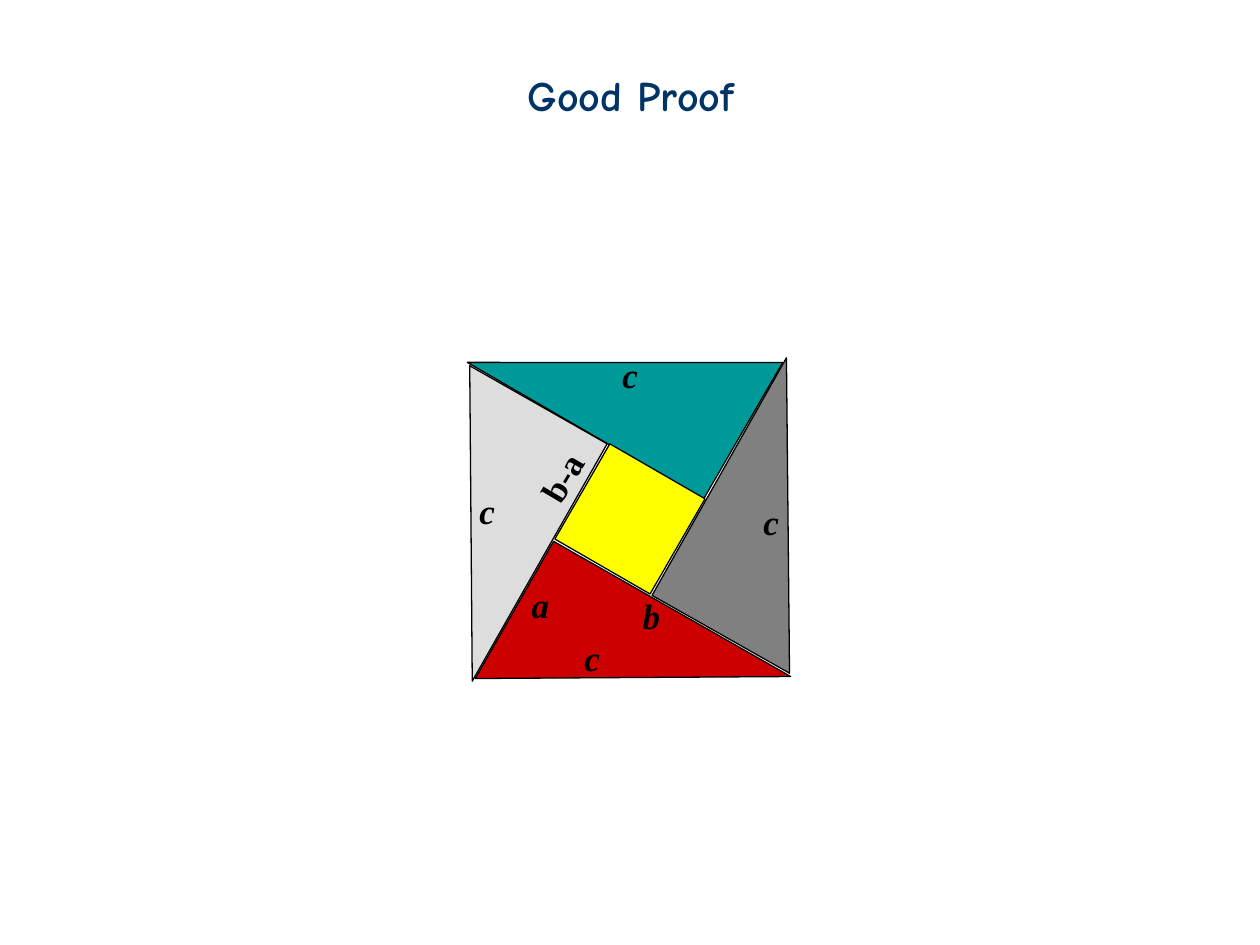
from pptx import Presentation
from pptx.dml.color import RGBColor
from pptx.enum.shapes import MSO_SHAPE
from pptx.enum.text import MSO_ANCHOR, MSO_AUTO_SIZE, PP_ALIGN
from pptx.util import Emu, Inches, Pt

EMU_PER_PX = 914400 / 126
SHORT_LEG, LONG_LEG = 158, 273
SQUARE_SIDE = 110
LABEL_HEIGHT = 55

# left, top, rotation, fill
TRIANGLES = [
    (709, 379, 29.5, "808080"),
    (554, 541, 119.7, "CC0000"),
    (546, 226, 300.1, "009999"),
    (392, 387, 209.6, "DDDDDD"),
]

# text, left, top, width
SIDE_LABELS = [
    ("c", 572, 630, 40),
    ("c", 751, 494, 40),
    ("c", 467, 483, 40),
    ("a", 519, 577, 43),
    ("b", 625, 588, 53),
    ("c", 610, 347, 40),
]


def px(length):
    return Emu(round(length * EMU_PER_PX))


def color(hex_text):
    return RGBColor.from_string(hex_text)


def write_text(box, text, font="Times New Roman", size=20, fill="000000",
               bold=True, italic=False, align=PP_ALIGN.CENTER):
    frame = box.text_frame
    frame.word_wrap = False
    frame.auto_size = MSO_AUTO_SIZE.SHAPE_TO_FIT_TEXT
    frame.vertical_anchor = MSO_ANCHOR.TOP
    para = frame.paragraphs[0]
    para.alignment = align
    span = para.add_run()
    span.text = text
    span.font.name = font
    span.font.size = Pt(size)
    span.font.bold = bold
    span.font.italic = italic
    span.font.color.rgb = color(fill)


def add_title(page, text, left, top, width, height):
    title = page.shapes.title
    title.left, title.top = px(left), px(top)
    title.width, title.height = px(width), px(height)
    write_text(title, text, font="Comic Neue", size=24, fill="003366",
               align=PP_ALIGN.LEFT)


def add_piece(page, kind, left, top, width, height, rotation, fill):
    piece = page.shapes.add_shape(kind, px(left), px(top), px(width), px(height))
    piece.rotation = rotation
    piece.shadow.inherit = False
    piece.fill.solid()
    piece.fill.fore_color.rgb = color(fill)
    piece.line.color.rgb = color("000000")
    piece.line.width = Pt(0.75)


def add_label(page, text, left, top, width, rotation=0, italic=True):
    box = page.shapes.add_textbox(px(left), px(top), px(width), px(LABEL_HEIGHT))
    box.rotation = rotation
    write_text(box, text, italic=italic)


def main():
    deck = Presentation()
    deck.slide_width, deck.slide_height = Inches(10), Inches(7.5)
    page = deck.slides.add_slide(deck.slide_layouts[5])
    add_title(page, "Good Proof", 515, 63, 232, 63)

    # Four right triangles around the centre
    for left, top, rotation, fill in TRIANGLES:
        add_piece(page, MSO_SHAPE.RIGHT_TRIANGLE, left, top,
                  SHORT_LEG, LONG_LEG, rotation, fill)

    # Names of the triangle sides
    for text, left, top, width in SIDE_LABELS:
        add_label(page, text, left, top, width)

    # Inner square and its side; the turned label needs room for one line
    add_piece(page, MSO_SHAPE.RECTANGLE, 575, 464,
              SQUARE_SIDE, SQUARE_SIDE, 30, "FFFF00")
    add_label(page, "b-a", 522, 450, 79, rotation=300.6, italic=False)

    deck.save("out.pptx")


if __name__ == "__main__":
    main()
